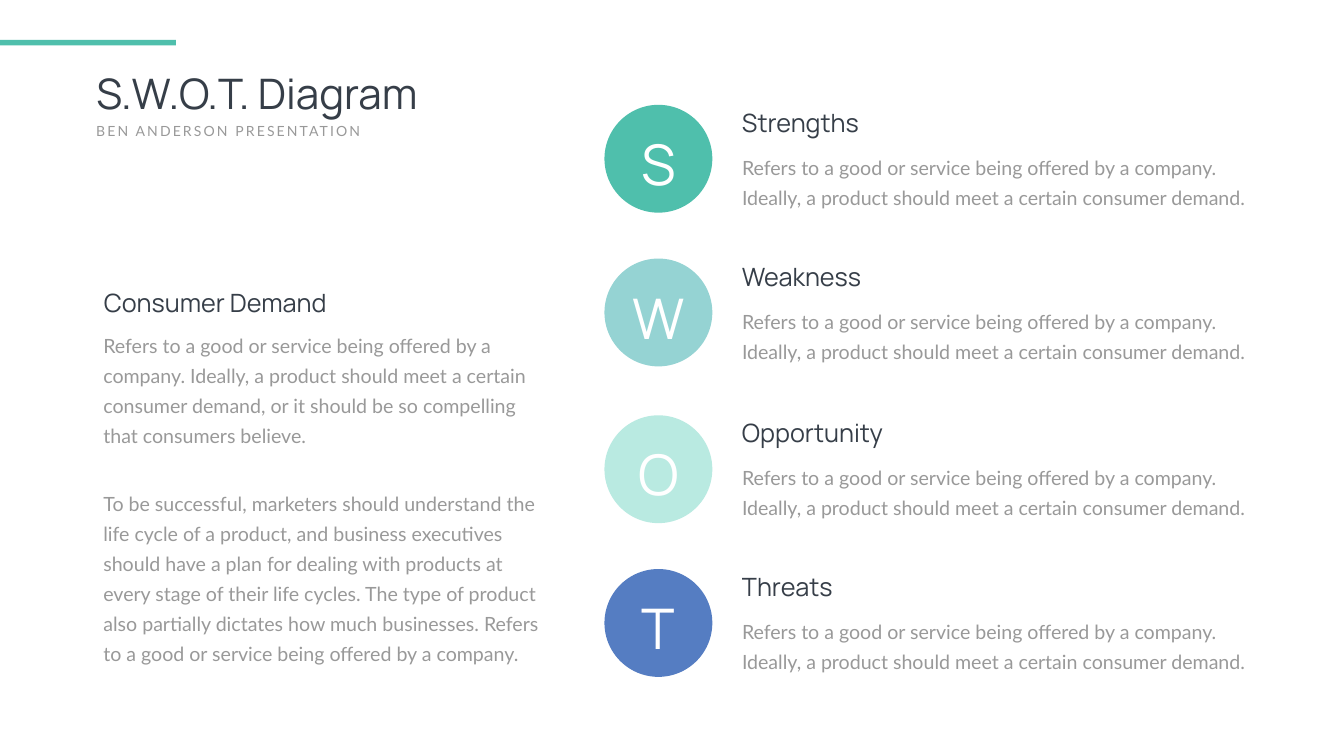
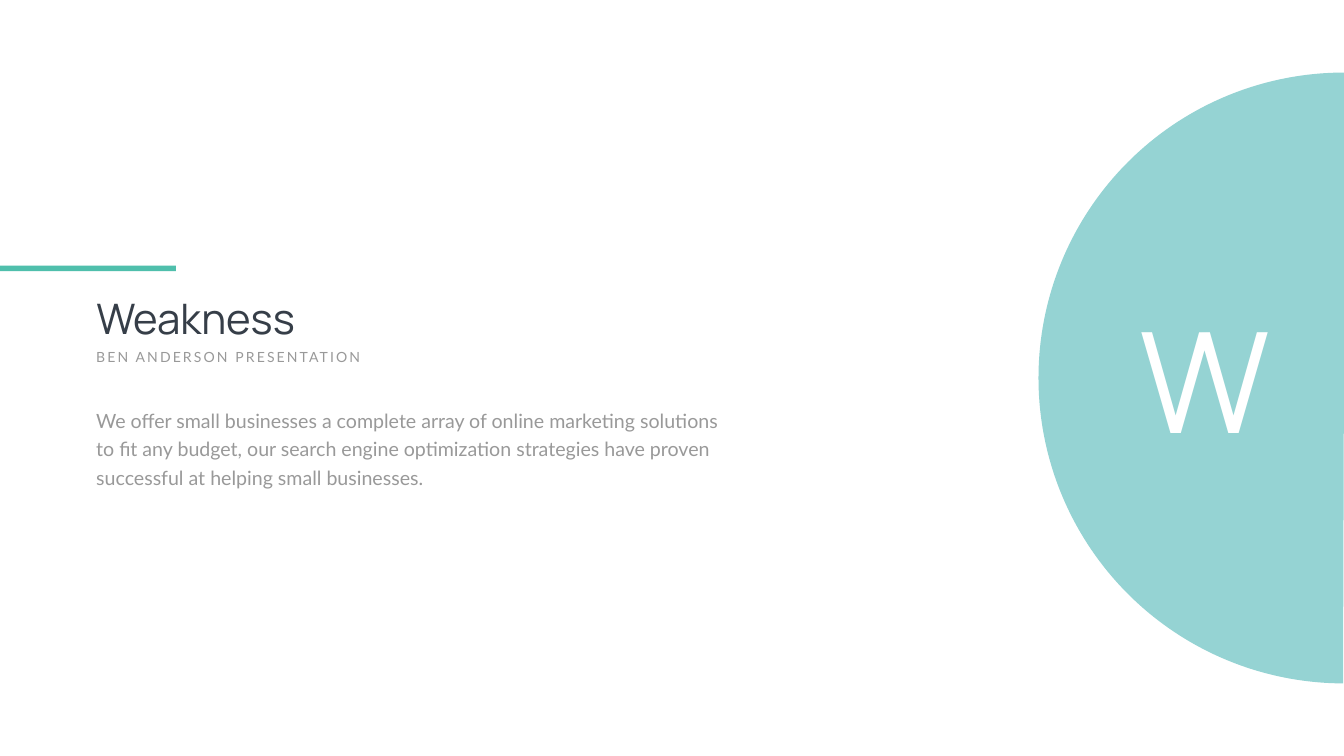
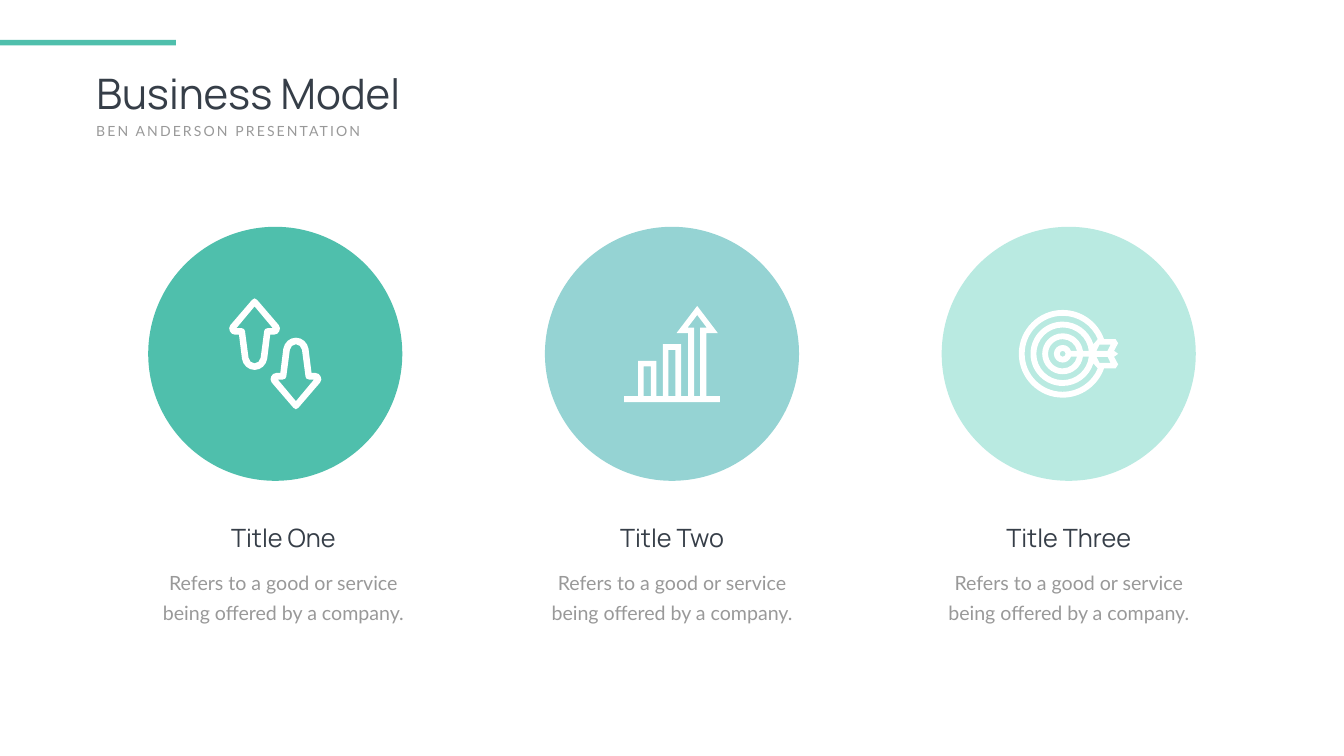
"""Build the S.W.O.T., Weakness and Business Model slides on a grid of square cells."""
import dataclasses
import math
import typing

import pptx
import pptx.dml.color
import pptx.enum.shapes
import pptx.enum.text
import pptx.oxml.ns
import pptx.slide
import pptx.util

COLUMNS, ROWS = 26.66, 15
CELL = pptx.util.Inches(1)
GREEN, TEAL, MINT, BLUE = "4FBFAC", "95D3D3", "B9EAE1", "557DC2"
DARK, GREY, WHITE = "363E48", "999999", "FFFFFF"
LEFT_MARGIN = 1.81
SUBTITLE = "BEN ANDERSON PRESENTATION"
SERVICE = "Refers to a good or service being offered by a company."
DEMAND = "Ideally, a product should meet a certain consumer demand"

Shape = pptx.enum.shapes.MSO_SHAPE
Align = pptx.enum.text.PP_ALIGN
Step = tuple[float, ...]
Contour = list[Step]


@dataclasses.dataclass(frozen=True)
class Box:
    """Place on the grid, in columns and rows."""
    left: float
    top: float
    width: float
    height: float

    def emu(self) -> list[int]:
        """Return left, top, width and height as slide lengths."""
        return [cells(value) for value in dataclasses.astuple(self)]


@dataclasses.dataclass(frozen=True)
class Style:
    """Look of a piece of text."""
    font: str
    size: float
    color: str
    leading: float | None = None
    tracking: float = 0
    align: typing.Any = Align.LEFT


TITLE = Style("Manrope", 60, DARK)
TAGLINE = Style("Lato", 20, GREY, tracking=3)
HEADING = Style("Manrope", 36, DARK)
BODY = Style("Lato", 28, GREY, leading=43)
LETTER = Style("Manrope", 80, WHITE, align=Align.CENTER)


@dataclasses.dataclass(frozen=True)
class Strategy:
    """One lettered row of the S.W.O.T. list."""
    name: str
    color: str
    top: float


@dataclasses.dataclass(frozen=True)
class Model:
    """One captioned circle of the business model."""
    name: str
    color: str
    caption_left: float


STRATEGIES = (
    Strategy("Strengths", GREEN, 2.08),
    Strategy("Weakness", TEAL, 5.13),
    Strategy("Opportunity", MINT, 8.24),
    Strategy("Threats", BLUE, 11.29),
)
MODELS = (
    Model("Title One", GREEN, 2.81),
    Model("Title Two", TEAL, 10.52),
    Model("Title Three", MINT, 18.39),
)


def cells(count: float) -> int:
    """Convert grid cells to a slide length."""
    return round(count * CELL)


def rgb(color: str) -> pptx.dml.color.RGBColor:
    """Read a hex colour."""
    return pptx.dml.color.RGBColor.from_string(color)


def write(shape, paragraphs: typing.Sequence[str], style: Style, gap: float = 0) -> None:
    """Fill a shape with styled paragraphs, set apart by gap points."""
    frame = shape.text_frame
    frame.word_wrap = True
    frame.vertical_anchor = pptx.enum.text.MSO_ANCHOR.TOP
    for index, text in enumerate(paragraphs):
        paragraph = frame.add_paragraph() if index else frame.paragraphs[0]
        paragraph.alignment = style.align
        if style.leading:
            paragraph.line_spacing = pptx.util.Pt(style.leading)
        if index:
            paragraph.space_before = pptx.util.Pt(gap)
        run = paragraph.add_run()
        run.text = text
        run.font.name = style.font
        run.font.size = pptx.util.Pt(style.size)
        run.font.color.rgb = rgb(style.color)
        if style.tracking:
            run._r.get_or_add_rPr().set("spc", str(round(style.tracking * 100)))


def add_text(slide: pptx.slide.Slide, box: Box, style: Style, *paragraphs: str, gap: float = 0):
    """Add a text box that fits its text."""
    shape = slide.shapes.add_textbox(*box.emu())
    write(shape, paragraphs, style, gap)
    shape.text_frame.auto_size = pptx.enum.text.MSO_AUTO_SIZE.SHAPE_TO_FIT_TEXT
    return shape


def paint(shape, color: str) -> None:
    """Give a shape a flat fill with no line or shadow."""
    shape.shadow.inherit = False
    shape.fill.solid()
    shape.fill.fore_color.rgb = rgb(color)
    shape.line.fill.background()


def add_shape(slide: pptx.slide.Slide, kind, box: Box, color: str):
    """Add a flat preset shape."""
    shape = slide.shapes.add_shape(kind, *box.emu())
    paint(shape, color)
    return shape


def add_titled_slide(presentation, title: str, top: float = 0.79) -> pptx.slide.Slide:
    """Add a slide with its accent bar, title and tagline."""
    slide = presentation.slides.add_slide(presentation.slide_layouts[5])
    placeholder = slide.shapes.title
    box = Box(LEFT_MARGIN, top + 0.49, 9.71, 1.11)
    placeholder.left, placeholder.top, placeholder.width, placeholder.height = box.emu()
    write(placeholder, [title], TITLE)
    placeholder.text_frame.auto_size = pptx.enum.text.MSO_AUTO_SIZE.NONE
    add_shape(slide, Shape.RECTANGLE, Box(0, top, 3.49, 0.11), GREEN)
    add_text(slide, Box(LEFT_MARGIN, top + 1.6, 5.85, 0.44), TAGLINE, SUBTITLE)
    return slide


def points_of(step: Step) -> list[Step]:
    """Split a step into its points: one for a line, three for a curve."""
    return [step[index:index + 2] for index in range(0, len(step), 2)]


def flip(contour: Contour, x_scale: float, y_scale: float, shift: float = 0) -> Contour:
    """Scale a contour and move it sideways."""
    return [tuple(value for x, y in points_of(step) for value in (x * x_scale + shift, y * y_scale))
            for step in contour]


def backwards(contour: Contour) -> Contour:
    """Walk a contour from its end to its start."""
    steps: Contour = [contour[-1][-2:]]
    for previous, step in reversed(list(zip(contour, contour[1:]))):
        steps.append((step[2:4] + step[0:2] if len(step) == 6 else ()) + previous[-2:])
    return steps


def mirror(half: Contour, axis: float = 0) -> Contour:
    """Complete a right half with its reflection in a vertical axis."""
    return half + backwards(flip(half, -1, 1, 2 * axis))


def rectangle(left: float, top: float, right: float, bottom: float) -> Contour:
    """Return the corners of a rectangle."""
    return [(left, top), (right, top), (right, bottom), (left, bottom)]


def open_arc(center: Step, radius: float, opening: float) -> Contour:
    """Return a circle open to the right by opening above and below its axis."""
    def place(angle: float, tangent: float = 0) -> Step:
        """Return the point at an angle, moved along its tangent."""
        cosine, sine = math.cos(angle), math.sin(angle)
        return (center[0] + radius * (cosine - tangent * sine),
                center[1] + radius * (sine + tangent * cosine))

    start = math.asin(opening / radius)
    angles = [start, math.pi / 2, math.pi, 3 * math.pi / 2, 2 * math.pi - start]
    steps: Contour = [place(start)]
    for first, last in zip(angles, angles[1:]):
        handle = 4 / 3 * math.tan((last - first) / 4)
        steps.append(place(first, handle) + place(last, -handle) + place(last))
    return steps


def bend(shape, contours: list[Contour]) -> None:
    """Join the three lines that stand for each curve into a cubic curve."""
    lines = iter(list(shape._element.iter(pptx.oxml.ns.qn("a:lnTo"))))
    for contour in contours:
        for step in contour[1:]:
            line = next(lines)
            if len(step) == 6:
                line.tag = pptx.oxml.ns.qn("a:cubicBezTo")
                for extra in (next(lines), next(lines)):
                    line.append(extra[0])
                    extra.getparent().remove(extra)


def add_icon(slide: pptx.slide.Slide, origin: Step, contours: list[Contour]) -> None:
    """Add one white freeform from outlines measured from origin."""
    outlines = [[(cells(origin[0] + x), cells(origin[1] + y))
                 for step in contour for x, y in points_of(step)] for contour in contours]
    builder = slide.shapes.build_freeform(*outlines[0][0])
    for index, outline in enumerate(outlines):
        if index:
            builder.move_to(*outline[0])
        builder.add_line_segments(outline[1:], close=True)
    icon = builder.convert_to_shape()
    bend(icon, contours)
    paint(icon, WHITE)


def arrow_contours(direction: int) -> list[Contour]:
    """Return a rounded hollow arrow, up for 1 and down for -1."""
    inner = [(0, -0.55), (0.36, -0.12), (0.26, -0.12), (0.22, -0.12, 0.19, -0.09, 0.19, -0.06),
             (0.12, 0.47), (0.11, 0.53, 0.06, 0.58, 0, 0.58)]
    outer = [(0, -0.71), (0.02, -0.71, 0.04, -0.7, 0.05, -0.68), (0.48, -0.18),
             (0.51, -0.14, 0.51, -0.1, 0.49, -0.06), (0.47, -0.02, 0.44, 0.01, 0.39, 0.01),
             (0.31, 0.01), (0.25, 0.49), (0.23, 0.61, 0.13, 0.71, 0, 0.71)]
    return [flip(mirror(half), 1, direction) for half in (outer, inner)]


def growth_contours() -> list[Contour]:
    """Return hollow bars rising to an arrow on a base line."""
    axis, floor, base = 1.45, 1.79, 1.91
    arrow = mirror([(axis, 0), (axis + 0.41, 0.54), (axis + 0.18, 0.54)], axis)
    ground = [(axis + 0.18, floor), (1.9, floor), (1.9, base), (0, base), (0, floor)]
    bars = [(0.28, floor), (0.28, 1.09), (0.64, 1.09), (0.64, floor),
            (0.77, floor), (0.77, 0.76), (1.13, 0.76), (1.13, floor), (1.27, floor)]
    hollow = [(axis, 0.18), (axis + 0.19, 0.43), (axis + 0.06, 0.43), (axis + 0.06, floor)]
    return [arrow[:3] + ground + bars + arrow[3:], rectangle(0.39, 1.2, 0.53, floor),
            rectangle(0.88, 0.87, 1.02, floor), mirror(hollow, axis)]


def target_contours() -> list[Contour]:
    """Return a ringed target hit by a feathered arrow."""
    center, unit, fin = (0.88, 0.87), 0.058, 0.29
    feathers = [(1.93, 0.58), (1.98, 0.66), (1.9, 0.81), (1.98, 0.87),
                (1.9, 0.93), (1.98, 1.08), (1.93, 1.16)]
    contours = [open_arc(center, 15 * unit, fin) + feathers]
    for step, inner_opening, outer_opening in ((3, unit, unit), (7, unit, unit), (11, 0.19, fin)):
        inner = open_arc(center, step * unit, inner_opening)
        outer = open_arc(center, (step + 2) * unit, outer_opening)
        contours.append(inner + backwards(outer))
    contours.append(open_arc(center, unit, 0))
    for side in (-1, 1):
        fin_hole = [(1.61, 0.18), (1.55, 0.06), (1.77, 0.06), (1.83, 0.18)]
        contours.append([(x, center[1] + side * y) for x, y in fin_hole])
    return contours


def build_swot(presentation) -> None:
    """Build the S.W.O.T. list with its explanation."""
    slide = add_titled_slide(presentation, "S.W.O.T. Diagram")
    for item in STRATEGIES:
        add_shape(slide, Shape.OVAL, Box(11.99, item.top, 2.14, 2.14), item.color)
        add_text(slide, Box(14.62, item.top + 0.83, 10.22, 1.24), BODY, f"{SERVICE} {DEMAND}.")
        add_text(slide, Box(14.62, item.top, 6.56, 0.73), HEADING, item.name)
    explanation = add_text(
        slide, Box(LEFT_MARGIN, 6.37, 9.15, 7), BODY,
        f"{SERVICE} {DEMAND}, or it should be so compelling that consumers believe.",
        "To be successful, marketers should understand the life cycle of a product, and business "
        "executives should have a plan for dealing with products at every stage of their life "
        "cycles. The type of product also partially dictates how much businesses. " + SERVICE,
        gap=54)
    frame = explanation.text_frame
    frame.margin_left = frame.margin_right = cells(0.24)
    frame.margin_top = frame.margin_bottom = cells(0.12)
    for item in STRATEGIES:
        add_text(slide, Box(11.83, item.top + 0.44, 2.46, 1.45), LETTER, item.name[0])
    add_text(slide, Box(1.96, 5.66, 6.09, 0.71), HEADING, "Consumer Demand")


def build_weakness(presentation) -> None:
    """Build the Weakness slide with its half disc."""
    slide = add_titled_slide(presentation, "Weakness", top=5.27)
    half_disc = add_shape(slide, Shape.CHORD, Box(20.6, 1.44, 12.12, 12.12), TEAL)
    half_disc.rotation = 45
    half_disc.adjustments[0], half_disc.adjustments[1] = 27.11, 135.09
    add_text(slide, Box(22.08, 5.77, 3.63, 3.47), dataclasses.replace(LETTER, size=200), "W")
    add_text(slide, Box(LEFT_MARGIN, 7.96, 12.71, 1.77), dataclasses.replace(BODY, leading=40.8),
             "We offer small businesses a complete array of online marketing solutions to fit any "
             "budget, our search engine optimization strategies have proven successful at helping "
             "small businesses.")


def build_business_model(presentation) -> None:
    """Build the three captioned circles and their icons."""
    slide = add_titled_slide(presentation, "Business Model")
    heading = dataclasses.replace(HEADING, align=Align.CENTER)
    body = dataclasses.replace(BODY, align=Align.CENTER)
    for index, model in enumerate(MODELS):
        add_shape(slide, Shape.OVAL, Box(2.94 + 7.87 * index, 4.5, 5.04, 5.04), model.color)
    add_icon(slide, (5.05, 6.63), arrow_contours(1))
    add_icon(slide, (5.87, 7.41), arrow_contours(-1))
    add_icon(slide, (12.38, 6.07), growth_contours())
    add_icon(slide, (20.2, 6.15), target_contours())
    for model in MODELS:
        add_text(slide, Box(model.caption_left + 0.3, 11.15, 5.02, 1.24), body, SERVICE)
        add_text(slide, Box(model.caption_left, 10.32, 5.62, 0.73), heading, model.name)


def main() -> None:
    """Build and save the presentation."""
    presentation = pptx.Presentation()
    presentation.slide_width, presentation.slide_height = cells(COLUMNS), cells(ROWS)
    build_swot(presentation)
    build_weakness(presentation)
    build_business_model(presentation)
    presentation.save("out.pptx")


if __name__ == "__main__":
    main()
